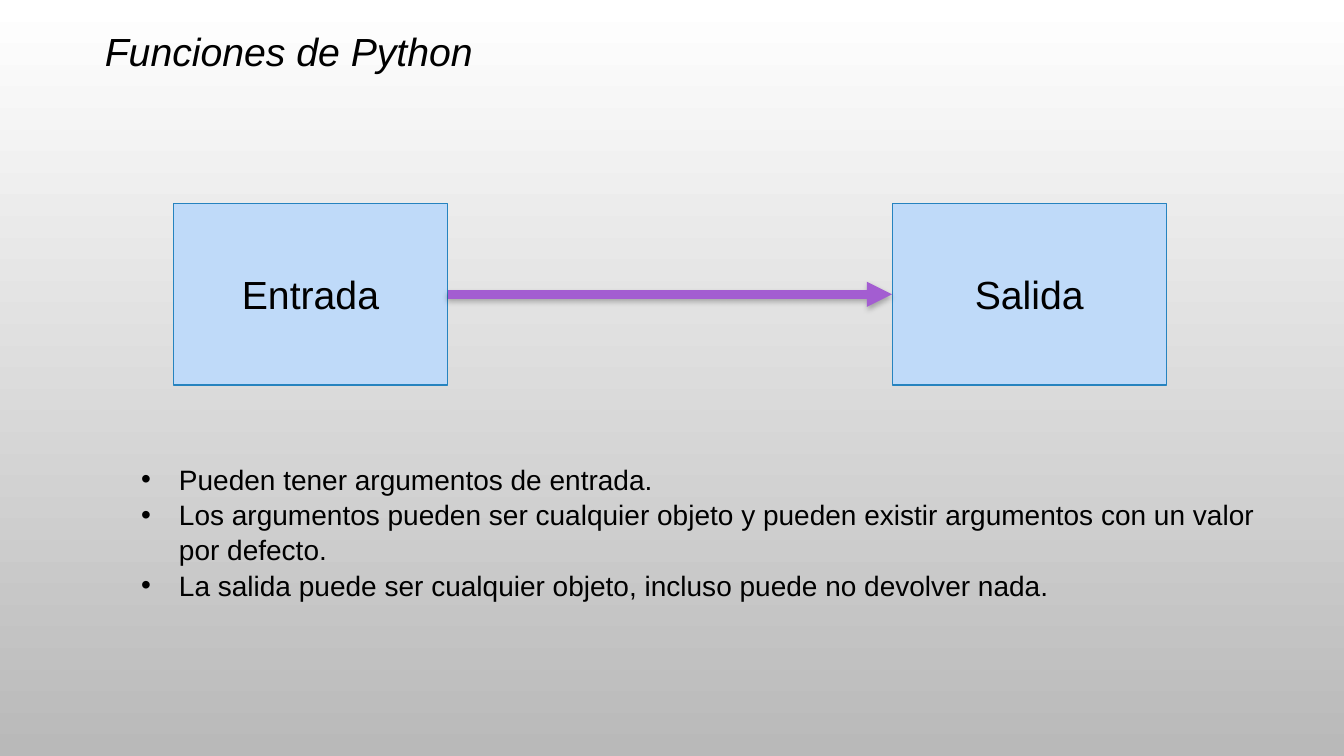
from dataclasses import dataclass

from lxml import etree
from pptx import Presentation
from pptx import util as u
from pptx.dml import color
from pptx.enum import shapes, text
from pptx.oxml import ns

HUES = {
    "top": "FFFFFF",
    "base": "B9B9B9",
    "box": "BFDAF9",
    "edge": "2683BF",
    "arrow": "A35DD1",
    "shade": "000000",
    "ink": "000000",
}
FONT = {"name": "Arial", "bold": False}
FACTS = [
    "Pueden tener argumentos de entrada.",
    "Los argumentos pueden ser cualquier objeto y pueden existir argumentos con un valor por defecto.",
    "La salida puede ser cualquier objeto, incluso puede no devolver nada.",
]


@dataclass
class Box:
    label: str
    left: float
    top: float = 145.44
    width: float = 195.84
    height: float = 129.6


BOXES = [Box("Entrada", 123.84), Box("Salida", 637.2)]


def rgb(name: str) -> color.RGBColor:
    return color.RGBColor.from_string(HUES[name])


def apply(item, values: dict) -> None:
    for key, value in values.items():
        setattr(item, key, value)


def place(shape, left: float, top: float, width: float, height: float) -> None:
    apply(shape, {"left": u.Pt(left), "top": u.Pt(top),
                  "width": u.Pt(width), "height": u.Pt(height)})


def write(shape, lines: list[str], size: float, frame: dict, para: dict, font: dict) -> None:
    body = shape.text_frame
    body.text = "\n".join(lines)
    apply(body, {"word_wrap": True, **frame})
    for line in body.paragraphs:
        apply(line, para)
        for run in line.runs:
            apply(run.font, {**FONT, "size": u.Pt(size), **font})
            run.font.color.rgb = rgb("ink")


def draw_box(slide, box: Box):
    shape = slide.shapes.add_shape(
        shapes.MSO_SHAPE.RECTANGLE, u.Pt(box.left), u.Pt(box.top),
        u.Pt(box.width), u.Pt(box.height))
    shape.shadow.inherit = False
    shape.fill.solid()
    shape.fill.fore_color.rgb = rgb("box")
    shape.line.color.rgb = rgb("edge")
    shape.line.width = u.Pt(0.75)
    write(shape, [box.label], 28, {"vertical_anchor": text.MSO_ANCHOR.MIDDLE},
          {"alignment": text.PP_ALIGN.CENTER}, {})
    return shape


def draw_arrow(slide, start, end) -> None:
    arrow = slide.shapes.add_connector(shapes.MSO_CONNECTOR.STRAIGHT, 0, 0, 0, 0)
    arrow.begin_connect(start, 3)
    arrow.end_connect(end, 1)
    arrow.line.color.rgb = rgb("arrow")
    arrow.line.width = u.Pt(6)
    etree.SubElement(arrow.line._get_or_add_ln(), ns.qn("a:tailEnd"), type="triangle")
    props = arrow._element.spPr
    effects = etree.SubElement(props, ns.qn("a:effectLst"))
    shade = etree.SubElement(
        effects, ns.qn("a:outerShdw"), blurRad=str(u.Pt(4)), dist=str(u.Pt(2)),
        dir="5400000", rotWithShape="0")
    tint = etree.SubElement(shade, ns.qn("a:srgbClr"), val=HUES["shade"])
    etree.SubElement(tint, ns.qn("a:alpha"), val="28000")


def paint(slide) -> None:
    fill = slide.background.fill
    fill.gradient()
    fill.gradient_angle = 270
    for stop, name, spot in zip(fill.gradient_stops, ("top", "base"), (0, 1)):
        stop.color.rgb = rgb(name)
        stop.position = spot


def main() -> None:
    deck = Presentation()
    apply(deck, {"slide_width": u.Pt(960), "slide_height": u.Pt(540)})
    slide = deck.slides.add_slide(deck.slide_layouts[1])
    paint(slide)

    title = slide.shapes.title
    place(title, 67.68, 15.84, 879.84, 41.04)
    write(title, ["Funciones de Python"], 28,
          {"vertical_anchor": text.MSO_ANCHOR.TOP,
           "auto_size": text.MSO_AUTO_SIZE.SHAPE_TO_FIT_TEXT},
          {"alignment": text.PP_ALIGN.LEFT}, {"italic": True})

    start, end = [draw_box(slide, box) for box in BOXES]
    draw_arrow(slide, start, end)

    facts = slide.placeholders[1]
    place(facts, 93.6, 293.04, 827.28, 172.8)
    write(facts, FACTS, 20,
          {"vertical_anchor": text.MSO_ANCHOR.MIDDLE,
           "auto_size": text.MSO_AUTO_SIZE.NONE},
          {"space_before": u.Pt(0), "line_spacing": 1.05}, {})

    deck.save("out.pptx")


if __name__ == "__main__":
    main()
